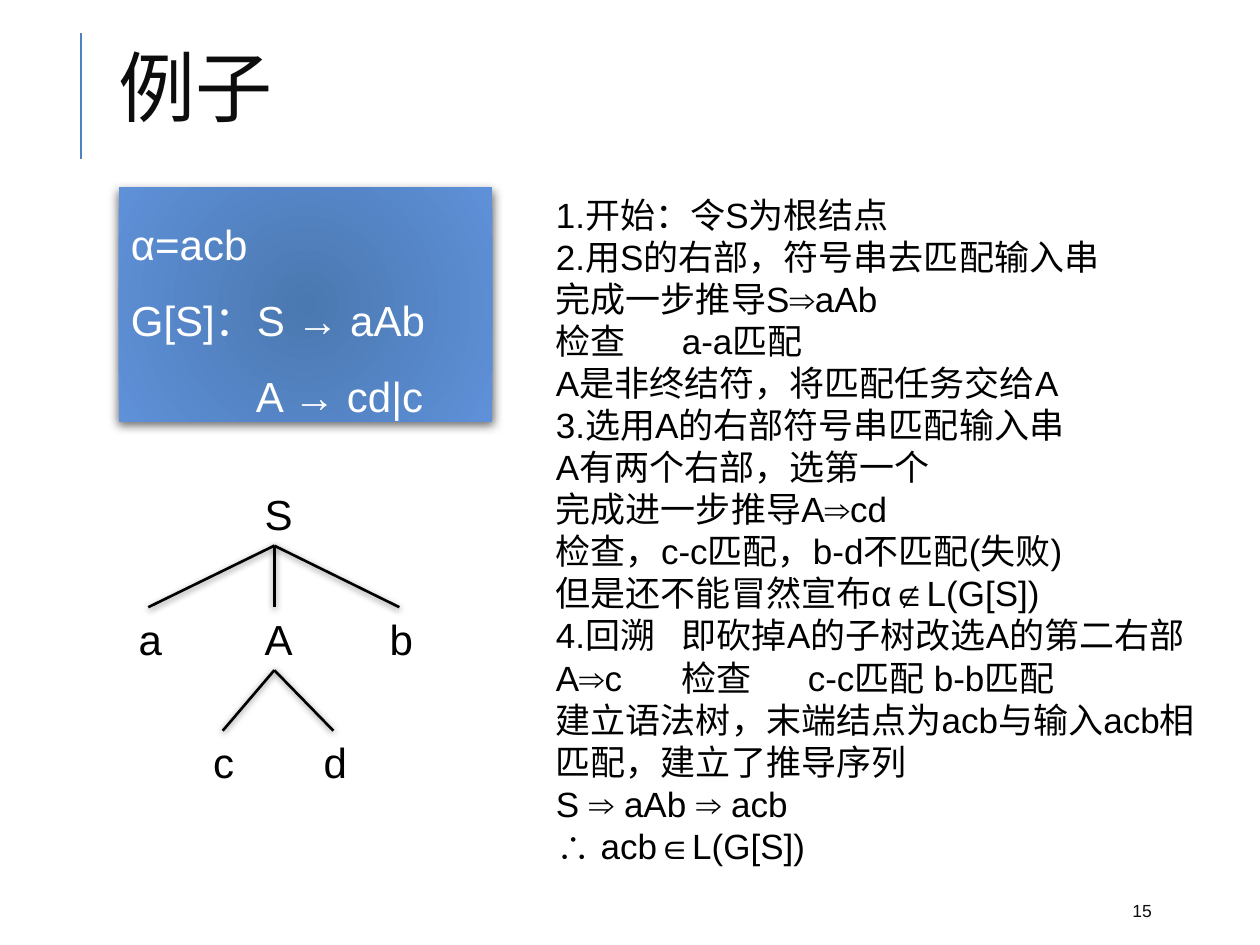
"""Build the slide on parsing acb by backtracking, with its grammar and syntax tree."""
from lxml.etree import SubElement
from pptx import Presentation
from pptx.dml.color import RGBColor
from pptx.enum.shapes import MSO_CONNECTOR, MSO_SHAPE
from pptx.enum.text import MSO_ANCHOR, MSO_AUTO_SIZE, PP_ALIGN
from pptx.oxml import parse_xml
from pptx.oxml.ns import nsdecls, qn
from pptx.util import Cm, Pt


def color(value):
    """Return the colour of a hex string."""
    return RGBColor.from_string(value)


def write(shape, lines, size, ink, frame_format, paragraph_format):
    """Fill a shape with formatted paragraphs and return them."""
    frame = shape.text_frame
    frame.text = "\n".join(lines)
    for name, value in frame_format.items():
        setattr(frame, name, value)
    for paragraph in frame.paragraphs:
        for name, value in paragraph_format.items():
            setattr(paragraph, name, value)
        for run in paragraph.runs:
            run.font.name = "Arial"
            run.font.size = Pt(size)
            run.font.color.rgb = color(ink)
    return frame.paragraphs


SHADOW = (
    "<a:effectLst {}><a:outerShdw blurRad='{}' dist='{}' dir='5400000' rotWithShape='0'>"
    "<a:srgbClr val='000000'><a:alpha val='{}'/></a:srgbClr></a:outerShdw></a:effectLst>"
)
FIXED = {"word_wrap": True, "auto_size": MSO_AUTO_SIZE.NONE}
MIDDLE = {**FIXED, "vertical_anchor": MSO_ANCHOR.MIDDLE}
TOP = {**FIXED, "vertical_anchor": MSO_ANCHOR.TOP}
GROWING = {"word_wrap": False, "auto_size": MSO_AUTO_SIZE.SHAPE_TO_FIT_TEXT}

presentation = Presentation()
presentation.slide_width, presentation.slide_height = Cm(25.4), Cm(19.05)
slide = presentation.slides.add_slide(presentation.slide_layouts[1])
shapes = slide.shapes
title, steps = slide.placeholders

rule = shapes.add_connector(MSO_CONNECTOR.STRAIGHT, Cm(1.63), Cm(3.2), Cm(1.63), Cm(0.66))
rule.line.color.rgb = color("4F81BD")
rule.line.width = Pt(1.5)
SubElement(rule._element.spPr, qn("a:effectLst"))

page_number = shapes.add_textbox(Cm(22.58), Cm(17.98), Cm(2.03), Cm(0.76))
write(page_number, ["15"], 10, "0D0D0D", MIDDLE, {})

title_box = {"left": Cm(2.13), "top": Cm(0.66), "width": Cm(21.59), "height": Cm(2.49)}
steps_box = {"left": Cm(10.95), "top": Cm(3.78), "width": Cm(13.67), "height": Cm(14.4)}
for placeholder, box in ((title, title_box), (steps, steps_box)):
    for name, value in box.items():
        setattr(placeholder, name, value)
write(title, ["例子"], 44, "0D0D0D", MIDDLE, {"alignment": PP_ALIGN.LEFT, "line_spacing": 0.8})

grammar = shapes.add_shape(MSO_SHAPE.RECTANGLE, Cm(2.39), Cm(3.78), Cm(7.54), Cm(4.72))
grammar.line.fill.background()
grammar.fill.gradient()
for stop, value in zip(grammar.fill.gradient_stops, ("4A78B0", "5F91D9")):
    stop.color.rgb = color(value)
gradient = grammar._element.spPr.find(qn("a:gradFill"))
gradient.replace(gradient.find(qn("a:lin")), parse_xml(
    f"<a:path {nsdecls('a')} path='circle'>"
    "<a:fillToRect l='50000' t='50000' r='50000' b='50000'/></a:path>"))
grammar._element.spPr.append(parse_xml(SHADOW.format(nsdecls("a"), Pt(6), Pt(2), 60000)))
productions = write(
    grammar, ["α=acb", "G[S]：S → aAb", "A → cd|c"], 24, "FFFFFF", TOP,
    {"alignment": PP_ALIGN.JUSTIFY, "line_spacing": 1.5})
productions[-1]._p.get_or_add_pPr().set("marL", str(Cm(2.52)))

steps.fill.solid()
steps.fill.fore_color.rgb = color("FFFFFF")
step_lines = {
    "1.开始：令S为根结点": [],
    "2.用S的右部，符号串去匹配输入串": [],
    "完成一步推导S⇒aAb": [],
    "检查\ta-a匹配": [1.9],
    "A是非终结符，将匹配任务交给A": [],
    "3.选用A的右部符号串匹配输入串": [],
    "A有两个右部，选第一个": [],
    "完成进一步推导A⇒cd": [],
    "检查，c-c匹配，b-d不匹配(失败)": [],
    "但是还不能冒然宣布α∉L(G[S])": [],
    "4.回溯\t即砍掉A的子树改选A的第二右部": [2.5],
    "A⇒c\t检查\tc-c匹配\tb-b匹配": [2.28, 4.2, 7.2],
    "建立语法树，末端结点为acb与输入acb相匹配，建立了推导序列": [],
    "S ⇒ aAb ⇒ acb": [],
    "∴ acb∈L(G[S])": [],
}
paragraphs = write(
    steps, step_lines, 20, "000000", TOP,
    {"alignment": PP_ALIGN.LEFT, "space_before": Pt(0), "line_spacing": 1.0})
for paragraph, stops in zip(paragraphs, step_lines.values()):
    properties = paragraph._p.get_or_add_pPr()
    properties.set("marL", "0")
    properties.set("indent", "0")
    SubElement(properties, qn("a:buNone"))
    if stops:
        tab_list = SubElement(properties, qn("a:tabLst"))
        for position in stops:
            SubElement(tab_list, qn("a:tab"), pos=str(Cm(position)), algn="l")

node_width, node_height = 0.89, 1.27
level_tops = [9.73, 12.24, 14.73]
nodes = {
    "S": (5.53, 0), "a": (2.99, 1), "A": (5.53, 1),
    "b": (8.05, 1), "c": (4.49, 2), "d": (6.72, 2),
}
for label, (center, level) in nodes.items():
    node = shapes.add_textbox(
        Cm(center - node_width / 2), Cm(level_tops[level]), Cm(node_width), Cm(node_height))
    write(node, [label], 24, "000000", GROWING, {"alignment": PP_ALIGN.CENTER})

for parent, children in {"S": "aAb", "A": "cd"}.items():
    parent_center, parent_level = nodes[parent]
    for child in children:
        child_center, child_level = nodes[child]
        branch = shapes.add_connector(
            MSO_CONNECTOR.STRAIGHT,
            Cm(parent_center), Cm(level_tops[parent_level] + node_height),
            Cm(child_center), Cm(level_tops[child_level]))
        branch.line.color.rgb = color("000000")
        branch.line.width = Pt(1.5)
        branch._element.spPr.append(parse_xml(SHADOW.format(nsdecls("a"), Pt(4), Pt(1), 50000)))

presentation.save("out.pptx")
